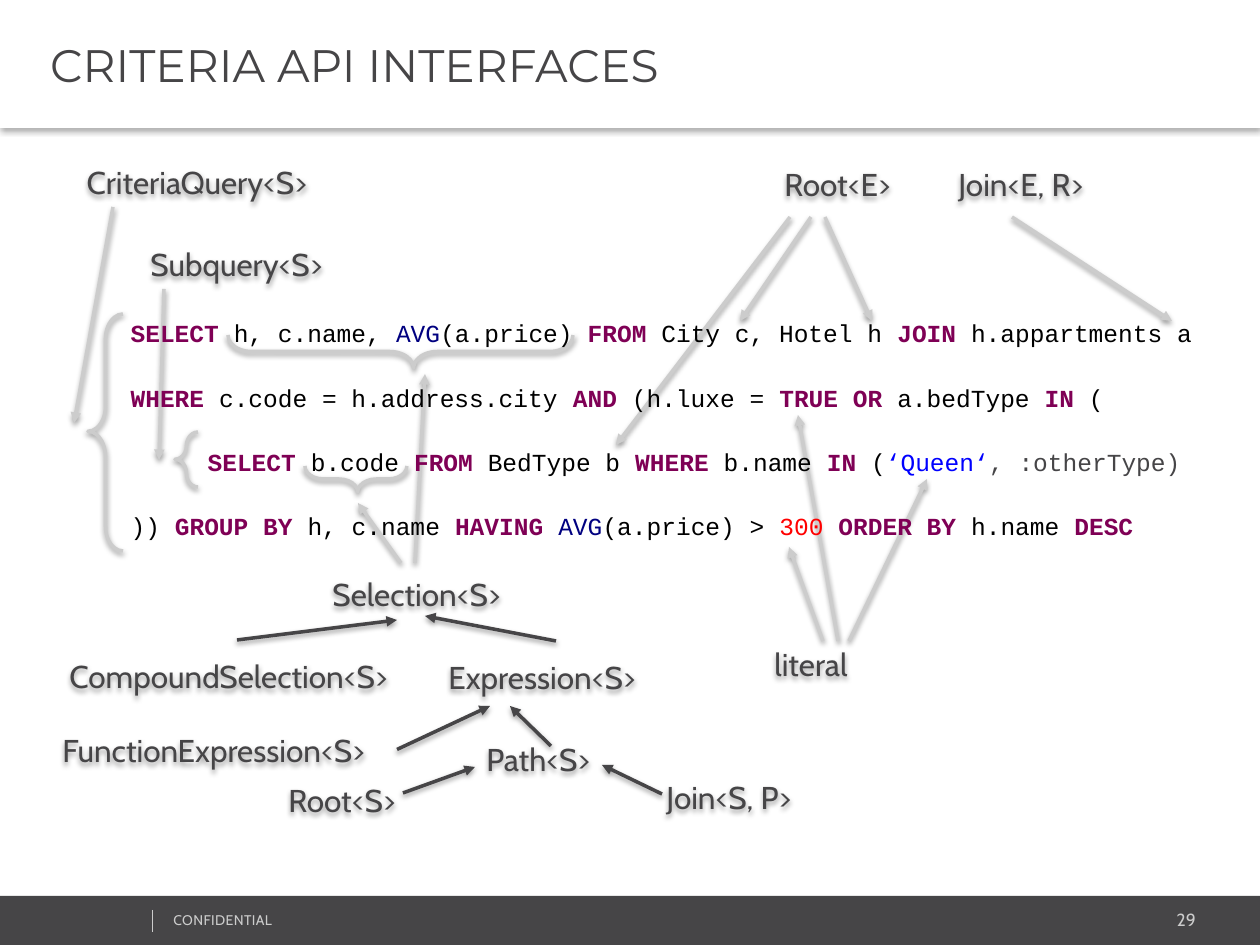
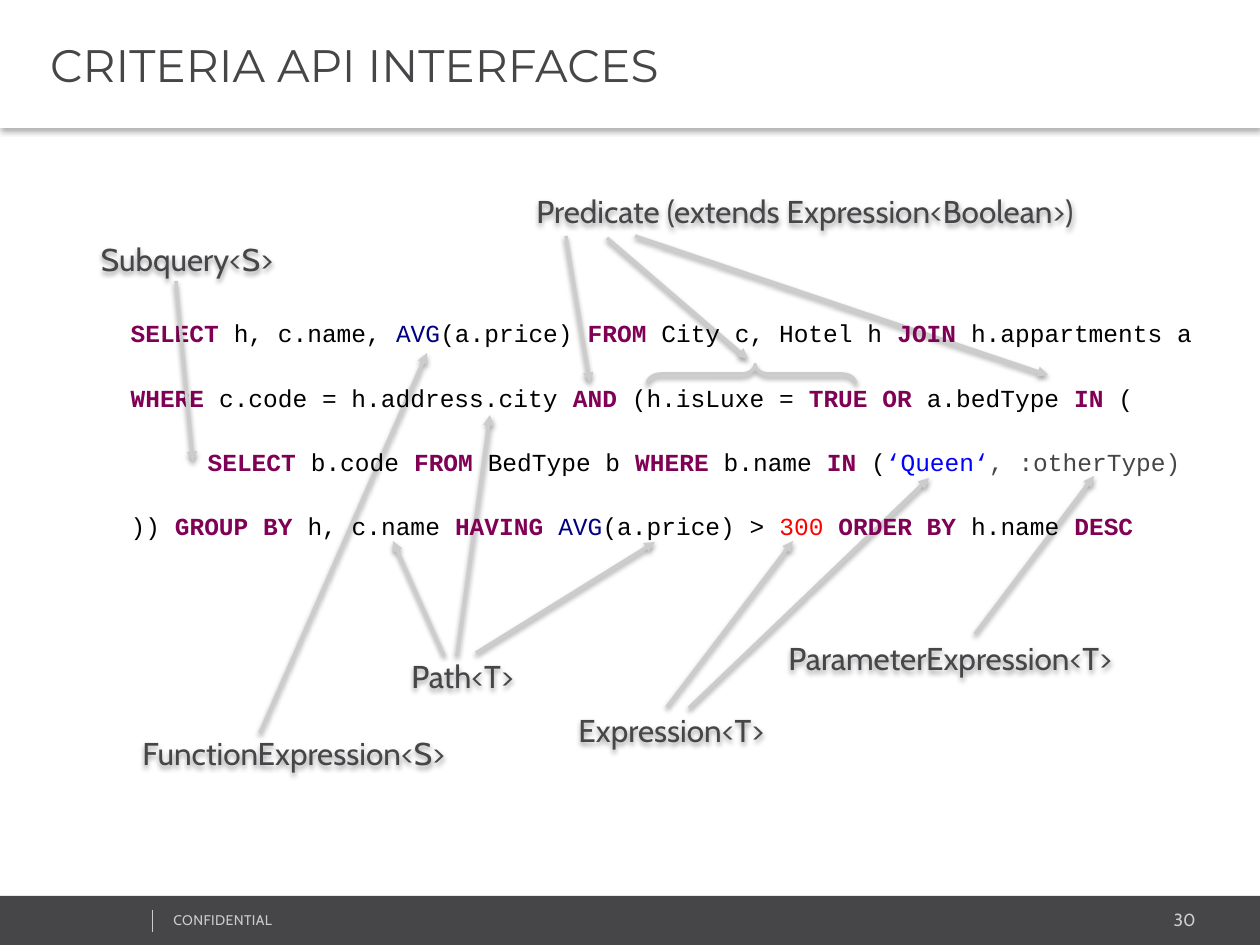
"""Build two slides that map Criteria API interfaces onto a query."""
from lxml import etree
from pptx import Presentation
from pptx import util as u
from pptx.dml.color import RGBColor
from pptx.enum import shapes, text
from pptx.oxml.ns import qn

DARK, PALE, WHITE, BLACK = "464547", "CCCCCC", "FFFFFF", "000000"
PLUM, NAVY, BLUE, RED = "7F0055", "000080", "0000FF", "FF0000"
HUES = {"AVG": NAVY, "300": RED, "‘Queen‘": BLUE, ", :otherType)": DARK}
WORDS = ("SELECT", "FROM", "JOIN", "WHERE", "AND", "TRUE OR", "IN",
         "GROUP BY", "HAVING", "ORDER BY", "DESC")
HUES.update(dict.fromkeys(WORDS, PLUM))
MID = ("CriteriaQuery<S>", "Subquery<S>")
QUERY = (
    "SELECT| h, c.name, |AVG|(a.price) |FROM| City c, Hotel h |JOIN |h.appartments a",
    "WHERE |c.code = h.address.city |AND |(h.{} = |TRUE OR |a.bedType |IN |(",
    "SELECT |b.code |FROM |BedType b |WHERE |b.name |IN |(|‘Queen‘|, :otherType)",
    ")) |GROUP BY| h, c.name |HAVING |AVG|(a.price) > |300 |ORDER BY| h.name |DESC",
)

DECK = (
    {
        "page": 29,
        "field": "luxe",
        "braces": (
            (88, 314, 35, 237, 0.495, 0, False),
            (175, 432, 23, 55, 0.495, 0, False),
            (384, 179, 33, 345, 0.462, 90, True),
            (343, 428, 26, 102, 0.483, 90, True),
        ),
        "labels": (
            ("CriteriaQuery<S>", 58, 159, 278),
            ("Subquery<S>", 121, 241, 231),
            ("Selection<S>", 320, 571, 209),
            ("Root<E>", 772, 161, 155),
            ("Join<E, R>", 946, 161, 179),
            ("literal", 762, 641, 121),
            ("CompoundSelection<S>", 57, 653, 360),
            ("Expression<S>", 436, 654, 228),
            ("Path<S>", 474, 736, 228),
            ("Root<S>", 276, 777, 155),
            ("Join<S, P>", 654, 774, 173),
            ("FunctionExpression<S>", 50, 727, 347),
        ),
        "arrows": (
            (113, 207, 74, 423, PALE),
            (164, 289, 159, 460, PALE),
            (811, 217, 740, 321, PALE),
            (825, 217, 872, 321, PALE),
            (790, 217, 616, 445, PALE),
            (1012, 217, 1172, 321, PALE),
            (401, 563, 358, 503, PALE),
            (415, 563, 425, 374, PALE),
            (823, 641, 789, 547, PALE),
            (838, 641, 798, 415, PALE),
            (849, 641, 927, 479, PALE),
            (237, 640, 397, 620, DARK),
            (556, 641, 425, 616, DARK),
            (551, 746, 510, 706, DARK),
            (403, 793, 475, 767, DARK),
            (662, 794, 602, 765, DARK),
            (397, 750, 490, 706, DARK),
        ),
    },
    {
        "page": 30,
        "field": "isLuxe",
        "braces": ((742, 270, 19, 208, 0.483, 90, False),),
        "labels": (
            ("Path<T>", 399, 653, 155),
            ("ParameterExpression<T>", 776, 635, 373),
            ("Expression<T>", 566, 707, 232),
            ("FunctionExpression<S>", 130, 730, 347),
            ("Predicate (extends Expression<Boolean>)", 524, 188, 611),
            ("Subquery<S>", 78, 236, 218),
        ),
        "arrows": (
            (457, 656, 490, 415, PALE),
            (444, 656, 393, 541, PALE),
            (476, 653, 655, 542, PALE),
            (975, 634, 1094, 476, PALE),
            (667, 707, 793, 541, PALE),
            (260, 733, 427, 353, PALE),
            (689, 708, 929, 478, PALE),
            (607, 238, 748, 359, PALE),
            (635, 236, 1048, 375, PALE),
            (566, 236, 590, 383, PALE),
            (176, 281, 193, 462, PALE),
        ),
    },
)


def px(*nums):
    """Turn pixels into a list of EMU lengths."""
    return [u.Emu(round(n * 914400 / 126)) for n in nums]


def ink(item, hue):
    """Set a solid colour on a fill or a font."""
    fill = item.fill if hasattr(item, "fill") else item
    fill.solid()
    fill.fore_color.rgb = RGBColor.from_string(hue)


prs = Presentation()
prs.slide_width, prs.slide_height = px(1260, 945)

for data in DECK:
    slide = prs.slides.add_slide(prs.slide_layouts[1])
    title, code = slide.placeholders
    draw = slide.shapes
    cast = [(title, 30, 2)]

    bar = draw.add_shape(shapes.MSO_SHAPE.RECTANGLE, *px(0, 896, 1260, 49))
    bar.shadow.inherit = False
    ink(bar, DARK)
    bar.line.fill.background()
    notes = (
        (str(data["page"]), 1003, 903, 205, 34, 10, text.PP_ALIGN.RIGHT, 0),
        ("CONFIDENTIAL", 161, 905, 319, 30, 8, text.PP_ALIGN.LEFT, 20),
    )
    for words, x, y, w, h, size, side, gap in notes:
        frame = draw.add_textbox(*px(x, y, w, h)).text_frame
        frame.word_wrap = True
        para = frame.paragraphs[0]
        para.alignment = side
        run = para.add_run()
        run.text = words
        run.font.name, run.font.size = "Cabin", u.Pt(size)
        run.font._element.set("spc", str(gap))
        ink(run.font, PALE)
    rule = draw.add_connector(shapes.MSO_CONNECTOR.STRAIGHT, *px(152, 910, 152, 932))
    ink(rule.line, PALE)
    rule.line.width = u.Pt(0.25)
    etree.SubElement(rule.element.spPr, qn("a:effectLst"))

    title.left, title.top, title.width, title.height = px(0, 0, 1260, 128)
    ink(title, WHITE)
    frame = title.text_frame
    frame.auto_size = text.MSO_AUTO_SIZE.NONE
    frame.vertical_anchor = text.MSO_ANCHOR.MIDDLE
    frame.margin_left, frame.margin_right = px(50, 13)
    para = frame.paragraphs[0]
    para.alignment = text.PP_ALIGN.LEFT
    run = para.add_run()
    run.text = "CRITERIA API INTERFACES"
    run.font.name, run.font.size = "Montserrat", u.Pt(26)
    ink(run.font, DARK)

    for x, y, w, h, tip, turn, flip in data["braces"]:
        brace = draw.add_shape(shapes.MSO_SHAPE.LEFT_BRACE, *px(x, y, w, h))
        brace.adjustments[0], brace.adjustments[1] = 0.717, tip
        brace.rotation = turn
        if flip:
            brace.element.spPr.find(qn("a:xfrm")).set("flipH", "1")
        brace.shadow.inherit = False
        brace.fill.background()
        ink(brace.line, PALE)
        brace.line.width = u.Pt(2)
        cast.append((brace, 38, 1.6))

    boxes = {}
    for name, x, y, w in data["labels"]:
        box = boxes[name] = draw.add_textbox(*px(x, y, w, 45))
        frame = box.text_frame
        frame.word_wrap = True
        frame.vertical_anchor = text.MSO_ANCHOR.MIDDLE
        para = frame.paragraphs[0]
        para.alignment = text.PP_ALIGN.CENTER if name in MID else text.PP_ALIGN.LEFT
        run = para.add_run()
        run.text = name
        run.font.name, run.font.size = "Cabin", u.Pt(18)
        ink(run.font, DARK)
        cast.append((box, 38, 1.6))

    for *ends, hue in data["arrows"]:
        link = draw.add_connector(shapes.MSO_CONNECTOR.STRAIGHT, *px(*ends))
        ink(link.line, hue)
        link.line.width = u.Pt(2)
        etree.SubElement(link.line._get_or_add_ln(), qn("a:tailEnd"), type="triangle")
        cast.append((link, 38, 1.6))
    if data["page"] == 29:
        link.begin_connect(boxes["FunctionExpression<S>"], 3)
    link.element.addprevious(code.element)

    code.left, code.top, code.width, code.height = px(118, 310, 1105, 237)
    frame = code.text_frame
    frame.auto_size = text.MSO_AUTO_SIZE.NONE
    for row, line in enumerate(QUERY):
        para = frame.add_paragraph() if row else frame.paragraphs[0]
        props = para._p.get_or_add_pPr()
        props.set("marL", str(px(77 if row == 2 else 0)[0]))
        props.set("indent", "0")
        etree.SubElement(props, qn("a:buNone"))
        para.line_spacing = 1.07
        para.space_before = u.Pt(18.8 if row else 0)
        for part in line.format(data["field"]).split("|"):
            hue = HUES.get(part.strip(), BLACK)
            run = para.add_run()
            run.text = part
            run.font.name, run.font.size = "Courier New", u.Pt(14)
            run.font.bold = hue == PLUM
            ink(run.font, hue)

    for shape, alpha, drop in cast:
        props = shape.element.spPr
        glow = props.find(qn("a:effectLst"))
        if glow is None:
            glow = etree.SubElement(props, qn("a:effectLst"))
        shade = etree.SubElement(
            glow, qn("a:outerShdw"), blurRad=str(u.Pt(3.1)), dist=str(u.Pt(drop)),
            dir="5400000", algn="t", rotWithShape="0")
        tone = etree.SubElement(shade, qn("a:srgbClr"), val=BLACK)
        etree.SubElement(tone, qn("a:alpha"), val=str(alpha * 1000))

prs.save("out.pptx")
